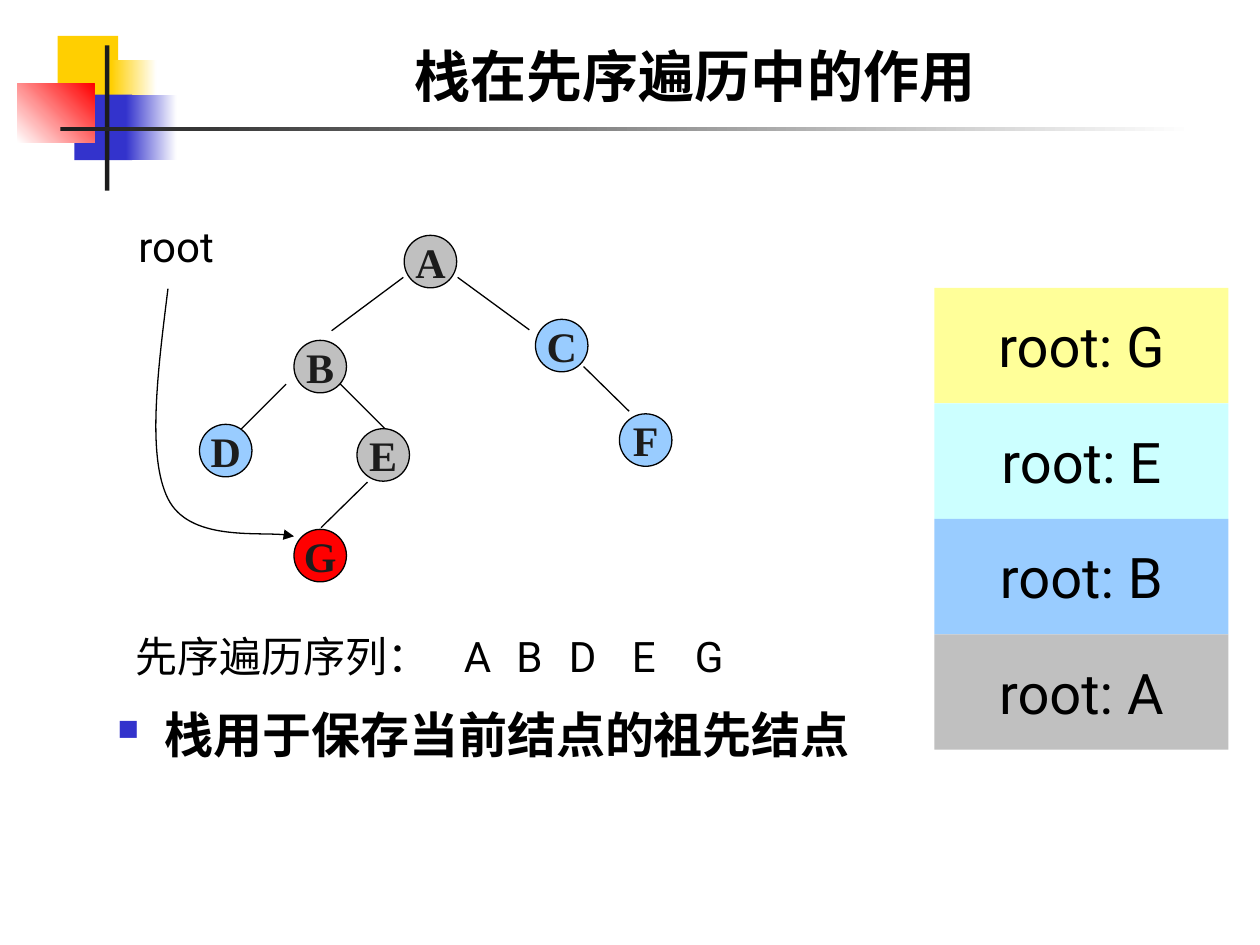
from dataclasses import dataclass

from pptx import Presentation
from pptx.dml.color import RGBColor
from pptx.enum.shapes import MSO_CONNECTOR, MSO_SHAPE
from pptx.enum.text import MSO_ANCHOR, MSO_AUTO_SIZE, PP_ALIGN
from pptx.oxml.xmlchemy import OxmlElement
from pptx.util import Pt


@dataclass(frozen=True)
class Theme:
    """Colours, fonts and type sizes of the slide."""
    black: str = "000000"
    ink: str = "1C1C1C"
    white: str = "FFFFFF"
    gold: str = "FFCF01"
    navy: str = "3333CC"
    red: str = "FF0000"
    gray: str = "C0C0C0"
    blue: str = "99CCFF"
    cyan: str = "CCFFFF"
    yellow: str = "FFFF99"
    sans: str = "Roboto"
    serif: str = "Times New Roman"
    large: int = 32
    statement: int = 28
    label: int = 24
    hairline: float = 0.75


@dataclass(frozen=True)
class Box:
    """A rectangle in points."""
    left: float
    top: float
    width: float
    height: float

    def inner(self, left, top, width, height):
        """Return a box placed relative to this one."""
        return Box(self.left + left, self.top + top, width, height)

    def lengths(self):
        """Return left, top, width and height as lengths."""
        return Pt(self.left), Pt(self.top), Pt(self.width), Pt(self.height)


THEME = Theme()


def color(value):
    """Turn a hexadecimal string into a colour."""
    return RGBColor.from_string(value)


def write_text(frame, text, size=THEME.label, font=THEME.sans, fill=THEME.black,
               bold=False, align=PP_ALIGN.LEFT, anchor=MSO_ANCHOR.TOP, wrap=True):
    """Write one formatted paragraph into a text frame and return it."""
    frame.auto_size = MSO_AUTO_SIZE.NONE
    frame.word_wrap = wrap
    frame.vertical_anchor = anchor
    paragraph = frame.paragraphs[0]
    paragraph.alignment = align
    run = paragraph.add_run()
    run.text = text
    run.font.name = font
    run.font.size = Pt(size)
    run.font.bold = bold
    run.font.color.rgb = color(fill)
    return paragraph


def add_label(slide, box, text, **text_format):
    """Add a text box and return its paragraph."""
    frame = slide.shapes.add_textbox(*box.lengths()).text_frame
    return write_text(frame, text, **text_format)


def add_block(slide, box, fill, end_fill=None, angle=0, kind=MSO_SHAPE.RECTANGLE):
    """Add a borderless shape with a solid or two-colour gradient fill."""
    shape = slide.shapes.add_shape(kind, *box.lengths())
    shape.shadow.inherit = False
    shape.line.fill.background()
    if end_fill is None:
        shape.fill.solid()
        shape.fill.fore_color.rgb = color(fill)
    else:
        shape.fill.gradient()
        shape.fill.gradient_angle = angle
        for stop, value in zip(shape.fill.gradient_stops, (fill, end_fill)):
            stop.color.rgb = color(value)
    return shape


def set_outline(shape):
    """Give a shape or connector the thin black line."""
    shape.line.color.rgb = color(THEME.black)
    shape.line.width = Pt(THEME.hairline)


def add_ornament(slide, box):
    """Place the overlapping squares and the crossing rules."""
    blocks = (
        ((23, 0.5, 34.5, 37.5), THEME.gold, None, 0),
        ((53.5, 14.5, 26, 37.5), THEME.gold, THEME.white, 0),
        ((32.5, 34, 33, 37.5), THEME.navy, None, 0),
        ((62, 34, 29, 37.5), THEME.navy, THEME.white, 0),
        ((0, 28, 44, 33.5), THEME.white, THEME.red, 45),
        ((50, 6, 2.5, 83), THEME.ink, None, 0),
        ((24.5, 52.5, 648, 2.5), THEME.ink, THEME.white, 0),
    )
    for position, fill, end_fill, angle in blocks:
        add_block(slide, box.inner(*position), fill, end_fill, angle)


def add_title(slide, box, text):
    """Move and format the title placeholder."""
    title = slide.shapes.title
    title.left, title.top, title.width, title.height = box.lengths()
    write_text(title.text_frame, text, size=THEME.large, bold=True,
               align=PP_ALIGN.CENTER, anchor=MSO_ANCHOR.BOTTOM)


def add_stack(slide, box, frames):
    """Fill the box with equal stack frames from top to bottom."""
    height = box.height / len(frames)
    for index, (node, fill) in enumerate(frames):
        shape = add_block(slide, box.inner(0, index * height, box.width, height), fill)
        write_text(shape.text_frame, f"root: {node}", size=THEME.large,
                   align=PP_ALIGN.CENTER, anchor=MSO_ANCHOR.MIDDLE, wrap=False)


def add_edge(slide, box, start_left, start_top, end_left, end_top):
    """Draw one straight tree edge."""
    edge = slide.shapes.add_connector(
        MSO_CONNECTOR.STRAIGHT,
        Pt(box.left + start_left), Pt(box.top + start_top),
        Pt(box.left + end_left), Pt(box.top + end_top))
    set_outline(edge)
    edge._element.spPr.append(OxmlElement("a:effectLst"))


def add_pointer(slide, box, points):
    """Draw a curved arrow from a start and triples of Bezier points."""
    places = [(Pt(box.left + left), Pt(box.top + top)) for left, top in points]
    builder = slide.shapes.build_freeform(*places[0], scale=1.0)
    builder.add_line_segments(places[1:], close=False)
    shape = builder.convert_to_shape()
    shape.shadow.inherit = False
    shape.fill.background()
    set_outline(shape)
    segments = shape._element.xpath(".//a:lnTo")
    for start in range(0, len(segments), 3):
        curve = OxmlElement("a:cubicBezTo")
        segments[start].addprevious(curve)
        for segment in segments[start:start + 3]:
            curve.append(segment[0])
            segment.getparent().remove(segment)
    arrowhead = OxmlElement("a:tailEnd")
    arrowhead.set("type", "triangle")
    shape.line._get_or_add_ln().append(arrowhead)


def add_tree(slide, box):
    """Place the binary tree with the root label and its pointer."""
    edges = (
        (158.5, 36.5, 117.5, 67), (189.5, 36.5, 230.5, 66.5),
        (122.5, 97.5, 148.5, 123.5), (138, 153.5, 111.5, 179.5),
        (91.5, 97.5, 65.5, 123.5), (261.5, 87.5, 287.5, 113),
    )
    nodes = (
        ("A", 159, 12.5, THEME.gray), ("B", 96, 72.5, THEME.gray),
        ("C", 234, 60.5, THEME.blue), ("D", 42, 120.5, THEME.blue),
        ("E", 132, 123, THEME.gray), ("F", 282, 114.5, THEME.blue),
        ("G", 96, 180.5, THEME.red),
    )
    for edge in edges:
        add_edge(slide, box, *edge)
    for name, left, top, fill in nodes:
        node = add_block(slide, box.inner(left, top, 30, 30), fill, kind=MSO_SHAPE.OVAL)
        set_outline(node)
        write_text(node.text_frame, name, font=THEME.serif, fill=THEME.ink, bold=True,
                   align=PP_ALIGN.CENTER, anchor=MSO_ANCHOR.MIDDLE, wrap=False)
    add_label(slide, box.inner(0, 0.5, 72, 36), "root")
    add_pointer(slide, box, ((24, 43), (18, 91), (12, 139), (24, 163),
                             (36, 187), (84, 181), (96, 184.5)))


def add_sequence(slide, box):
    """Place the traversal caption and the visited nodes in a row."""
    add_label(slide, box.inner(0, 0, 187, box.height), "先序遍历序列：")
    for name, left in zip("ABDEG", (187.5, 217.5, 247.5, 283.5, 319.5)):
        add_label(slide, box.inner(left, 0, 30, box.height), name)


def add_statement(slide, box, text):
    """Place the bulleted closing statement."""
    paragraph = add_label(slide, box, text, size=THEME.statement, bold=True)
    properties = paragraph._p.get_or_add_pPr()
    properties.set("marL", str(Pt(27)))
    properties.set("indent", str(-Pt(27)))
    bullet_color = OxmlElement("a:buClr")
    swatch = OxmlElement("a:srgbClr")
    swatch.set("val", THEME.navy)
    bullet_color.append(swatch)
    bullet_size = OxmlElement("a:buSzPct")
    bullet_size.set("val", "60000")
    bullet = OxmlElement("a:buChar")
    bullet.set("char", "■")
    properties.extend((bullet_color, bullet_size, bullet))


def main():
    """Build the slide and save it."""
    presentation = Presentation()
    presentation.slide_width, presentation.slide_height = Pt(720), Pt(540)
    slide = presentation.slides.add_slide(presentation.slide_layouts[5])
    add_ornament(slide, Box(10, 20, 673, 89))
    add_title(slide, Box(90.5, 16.5, 613.5, 49), "栈在先序遍历中的作用")
    add_stack(slide, Box(534, 164.5, 168, 264), (
        ("G", THEME.yellow), ("E", THEME.cyan), ("B", THEME.blue), ("A", THEME.gray)))
    add_tree(slide, Box(72, 122, 312, 211))
    add_sequence(slide, Box(70.5, 356.5, 350, 36))
    add_statement(slide, Box(60, 399, 612, 54), "栈用于保存当前结点的祖先结点")
    presentation.save("out.pptx")


if __name__ == "__main__":
    main()
